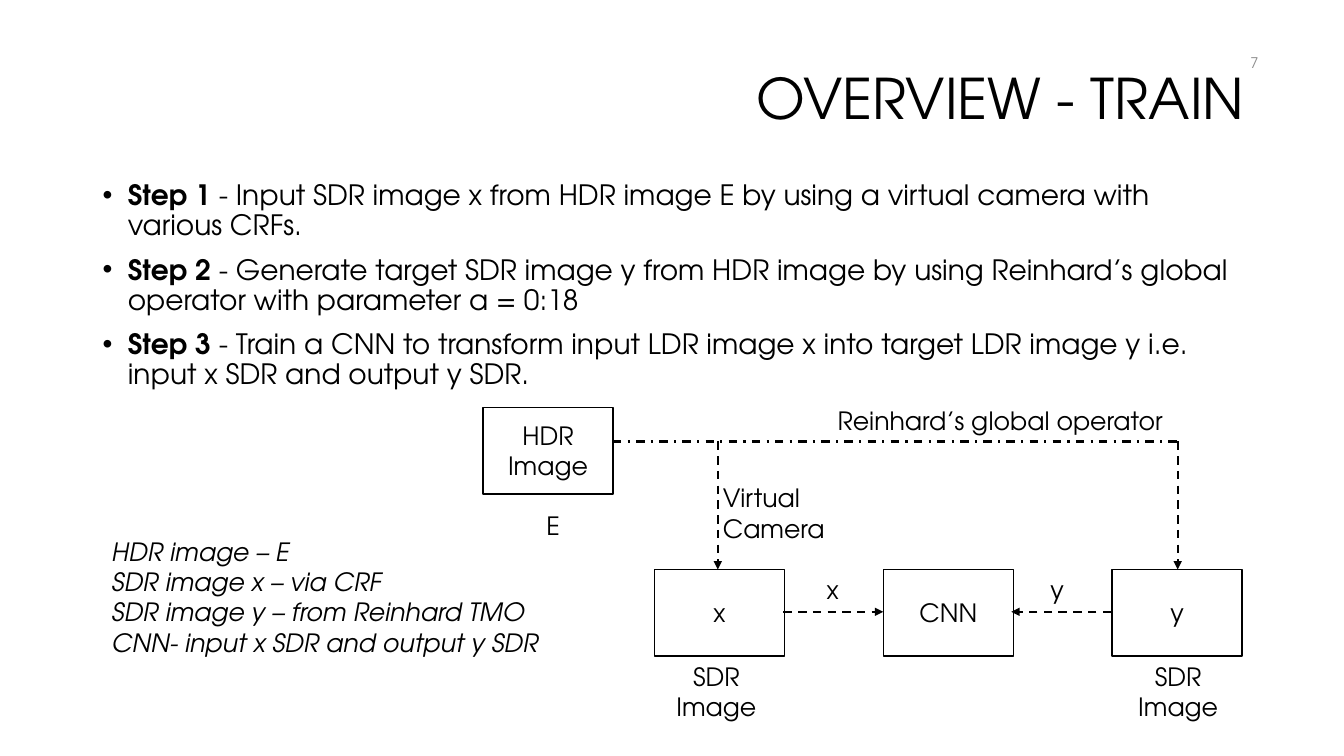
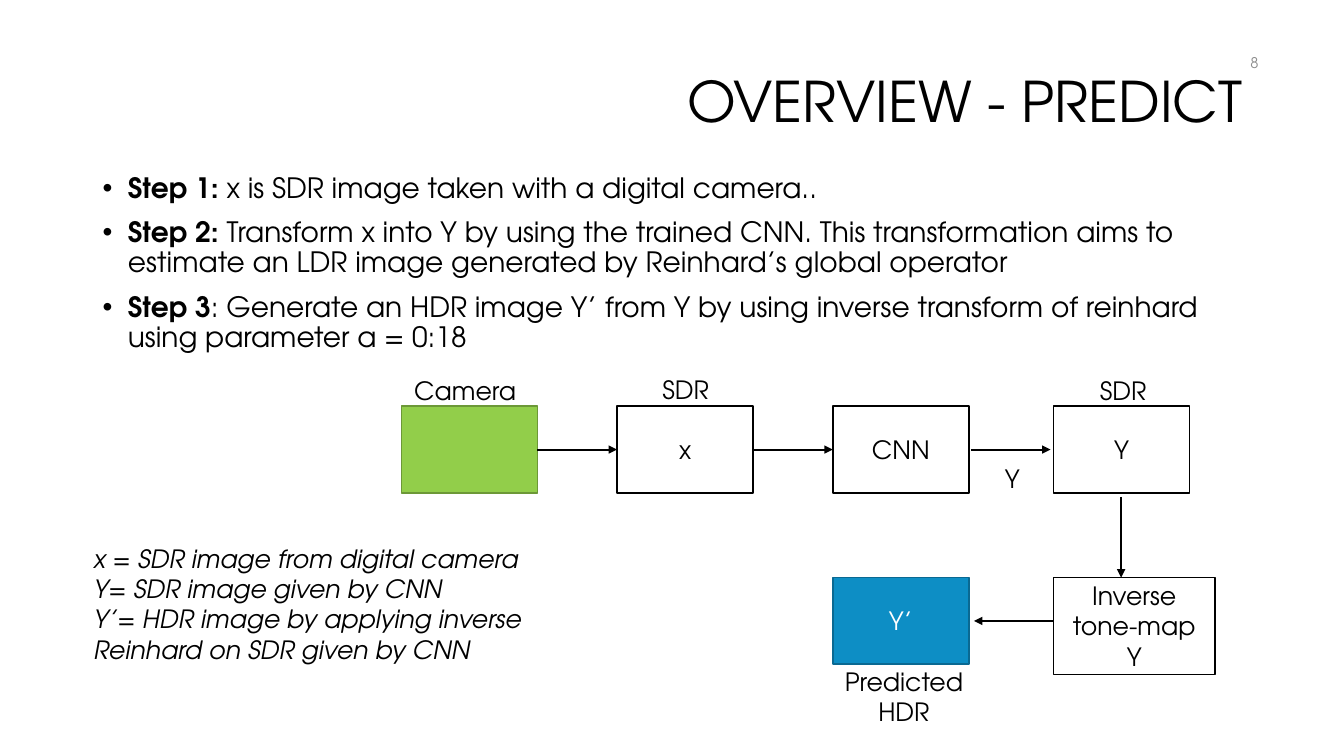
from dataclasses import dataclass

from lxml.etree import SubElement as Sub
from pptx import Presentation
from pptx.dml.color import RGBColor
from pptx.enum.dml import MSO_LINE_DASH_STYLE as Dash
from pptx.enum.shapes import MSO_CONNECTOR as Link, MSO_SHAPE as Kind
from pptx.enum.text import MSO_ANCHOR as Anchor, MSO_AUTO_SIZE as Fit, PP_ALIGN as Align
from pptx.oxml.ns import qn
from pptx.util import Inches, Pt

FONT = "TeX Gyre Adventor"
BLACK = RGBColor(0x00, 0x00, 0x00)
WHITE = RGBColor(0xFF, 0xFF, 0xFF)
GRAY = RGBColor(0x8C, 0x8C, 0x8C)
GREEN = RGBColor(0x92, 0xCE, 0x4A)
MOSS = RGBColor(0x6C, 0x98, 0x37)
BLUE = RGBColor(0x0D, 0x8E, 0xC5)
NAVY = RGBColor(0x0A, 0x69, 0x92)


@dataclass
class Box:
    text: str
    x: float
    y: float
    w: float
    h: float = 0.86
    fill: RGBColor = WHITE
    edge: RGBColor = BLACK
    ink: RGBColor = BLACK


@dataclass
class Line:
    x1: float
    y1: float
    x2: float
    y2: float
    dash: Dash | None = None
    head: bool = True


@dataclass
class Label:
    text: str
    x: float
    y: float
    w: float
    h: float = 0.4
    align: Align = Align.CENTER
    slant: bool = False
    size: float = 18
    ink: RGBColor = BLACK
    anchor: Anchor = Anchor.TOP


@dataclass
class Page:
    title: str
    title_x: float
    title_y: float
    number: str
    steps_y: float
    steps: list[tuple[str, str]]
    boxes: list[Box]
    lines: list[Line]
    labels: list[Label]


def style(frame, size: float, ink: RGBColor, align: Align, slant: bool = False) -> None:
    frame.word_wrap = True
    for para in frame.paragraphs:
        para.alignment = align
        for run in para.runs:
            font = run.font
            font.name, font.size, font.italic = FONT, Pt(size), slant
            font.color.rgb = ink


def add_box(slide, box: Box) -> None:
    shape = slide.shapes.add_shape(
        Kind.RECTANGLE, Inches(box.x), Inches(box.y), Inches(box.w), Inches(box.h))
    shape.shadow.inherit = False
    shape.fill.solid()
    shape.fill.fore_color.rgb = box.fill
    shape.line.color.rgb = box.edge
    shape.line.width = Pt(1)
    if box.text:
        shape.text_frame.text = box.text
        shape.text_frame.vertical_anchor = Anchor.MIDDLE
        style(shape.text_frame, 18, box.ink, Align.CENTER)


def add_line(slide, line: Line) -> None:
    link = slide.shapes.add_connector(
        Link.STRAIGHT, Inches(line.x1), Inches(line.y1), Inches(line.x2), Inches(line.y2))
    link.line.color.rgb = BLACK
    link.line.width = Pt(1.5)
    if line.dash:
        link.line.dash_style = line.dash
    if line.head:
        Sub(link.get_or_add_ln(), qn("a:tailEnd"), type="triangle")
    Sub(link.element.spPr, qn("a:effectLst"))


def add_label(slide, label: Label) -> None:
    frame = slide.shapes.add_textbox(
        Inches(label.x), Inches(label.y), Inches(label.w), Inches(label.h)).text_frame
    frame.text = label.text
    frame.vertical_anchor = label.anchor
    style(frame, label.size, label.ink, label.align, label.slant)


def add_title(slide, page: Page) -> None:
    title = slide.shapes.title
    title.left, title.top = Inches(page.title_x), Inches(page.title_y)
    title.width, title.height = Inches(11.5), Inches(1.45)
    frame = title.text_frame
    frame.text = page.title
    frame.auto_size = Fit.NONE
    frame.vertical_anchor = Anchor.MIDDLE
    frame.paragraphs[0].line_spacing = 0.9
    style(frame, 40, BLACK, Align.RIGHT)


def add_steps(slide, page: Page) -> None:
    frame = slide.shapes.add_textbox(
        Inches(0.92), Inches(page.steps_y), Inches(11.5), Inches(2.2)).text_frame
    for i, (name, rest) in enumerate(page.steps):
        para = frame.add_paragraph() if i else frame.paragraphs[0]
        props = para._p.get_or_add_pPr()
        props.set("marL", str(Inches(0.25)))
        props.set("indent", str(Inches(-0.25)))
        Sub(props, qn("a:buFont"), typeface="Arial")
        Sub(props, qn("a:buChar"), char="•")
        para.line_spacing = 0.9
        if i:
            para.space_before = Pt(10)
        for text, bold in ((name, True), (rest, False)):
            run = para.add_run()
            run.text, run.font.bold = text, bold
    style(frame, 20, BLACK, Align.LEFT)


def add_page(deck, page: Page) -> None:
    slide = deck.slides.add_slide(deck.slide_layouts[5])
    add_title(slide, page)
    add_steps(slide, page)
    add_label(slide, Label(page.number, 9.58, 0.42, 3, align=Align.RIGHT,
                           size=10.5, ink=GRAY, anchor=Anchor.MIDDLE))
    for box in page.boxes:
        add_box(slide, box)
    for line in page.lines:
        add_line(slide, line)
    for label in page.labels:
        add_label(slide, label)


def train_page() -> Page:
    wide, low, step = 1.29, 5.65, 2.27
    mid, top = 6.07, 4.38
    cols = [6.49 + step * i for i in range(3)]
    return Page(
        "OVERVIEW - TRAIN", 0.94, 0.28, "7", 1.75,
        [("Step 1 ", "- Input SDR image x from HDR image E by using a virtual camera "
                     "with various CRFs."),
         ("Step 2 ", "- Generate target SDR image y from HDR image by using Reinhard’s "
                     "global operator with parameter a = 0:18"),
         ("Step 3 ", "- Train a CNN to transform input LDR image x into target LDR image y "
                     "i.e. input x SDR and output y SDR.")],
        [Box("HDR\nImage", 4.79, 4.04, wide)]
        + [Box(text, x, low, wide) for text, x in zip(("x", "CNN", "y"), cols)],
        [Line(6.08, top, 11.7, top, Dash.DASH_DOT, head=False)]
        + [Line(x, top, x, low, Dash.DASH) for x in (11.68, 7.12)]
        + [Line(x1, mid, x2, mid, Dash.DASH) for x1, x2 in ((7.77, 8.76), (11.02, 10.03))],
        [Label(text, x, y, 0.52, align=Align.LEFT)
         for text, x, y in (("x", 8.1, low), ("y", 10.32, low), ("E", 5.32, 5.01))]
        + [Label("SDR\nImage", x, 6.51, wide, 0.71) for x in (6.46, 11.04)]
        + [Label("Virtual Camera", 7.07, 4.74, 1.32, 0.71, Align.LEFT),
           Label("Reinhard’s global operator", 8.05, 3.97, 3.74),
           Label("HDR image – E\nSDR image x – via CRF\nSDR image y – from Reinhard TMO\n"
                 "CNN- input x SDR and output y SDR", 1.01, 5.27, 4.46, 1.62,
                 Align.LEFT, slant=True)])


def predict_page() -> Page:
    wide, high, low, step, last = 1.35, 4.03, 5.73, 2.14, 10.45
    cam, snap, net = [3.98 + step * i for i in range(3)]
    half = 0.43
    return Page(
        "OVERVIEW - PREDICT", 0.92, 0.31, "8", 1.68,
        [("Step 1: ", "x is SDR image taken with a digital camera.."),
         ("Step 2: ", "Transform x into Y by using the trained CNN. This transformation aims "
                      "to estimate an LDR image generated by Reinhard’s global operator"),
         ("Step 3", ": Generate an HDR image Y’ from Y by using inverse transform of reinhard "
                    "using parameter a = 0:18")],
        [Box("", cam, high, wide, fill=GREEN, edge=MOSS),
         Box("x", snap, high, wide),
         Box("CNN", net, high, wide),
         Box("Y’", net, low, wide, fill=BLUE, edge=NAVY, ink=WHITE),
         Box("Inverse tone-map Y", last, low, 1.6, 0.96),
         Box("Y", last, high, wide)],
        [Line(x, high + half, x + 0.79, high + half) for x in (cam + wide, snap + wide, 9.63)]
        + [Line(11.12, 4.93, 11.12, low), Line(last, low + half, 9.66, low + half)],
        [Label("Camera", 4.01, 3.67, wide, align=Align.LEFT),
         Label("SDR", 6.24, 3.66, 1.12),
         Label("SDR", 10.58, 3.67, 1.12),
         Label("Y", 9.48, 4.55, 1.12),
         Label("Predicted HDR", 8.24, 6.56, 1.45, 0.71),
         Label("x = SDR image from digital camera\nY= SDR image given by CNN\n"
               "Y’= HDR image by applying inverse Reinhard on SDR given by CNN",
               0.83, 5.34, 5.29, 1.32, Align.LEFT, slant=True)])


def main() -> None:
    deck = Presentation()
    deck.slide_width, deck.slide_height = Inches(13.33), Inches(7.5)
    for page in (train_page(), predict_page()):
        add_page(deck, page)
    deck.save("out.pptx")


if __name__ == "__main__":
    main()
